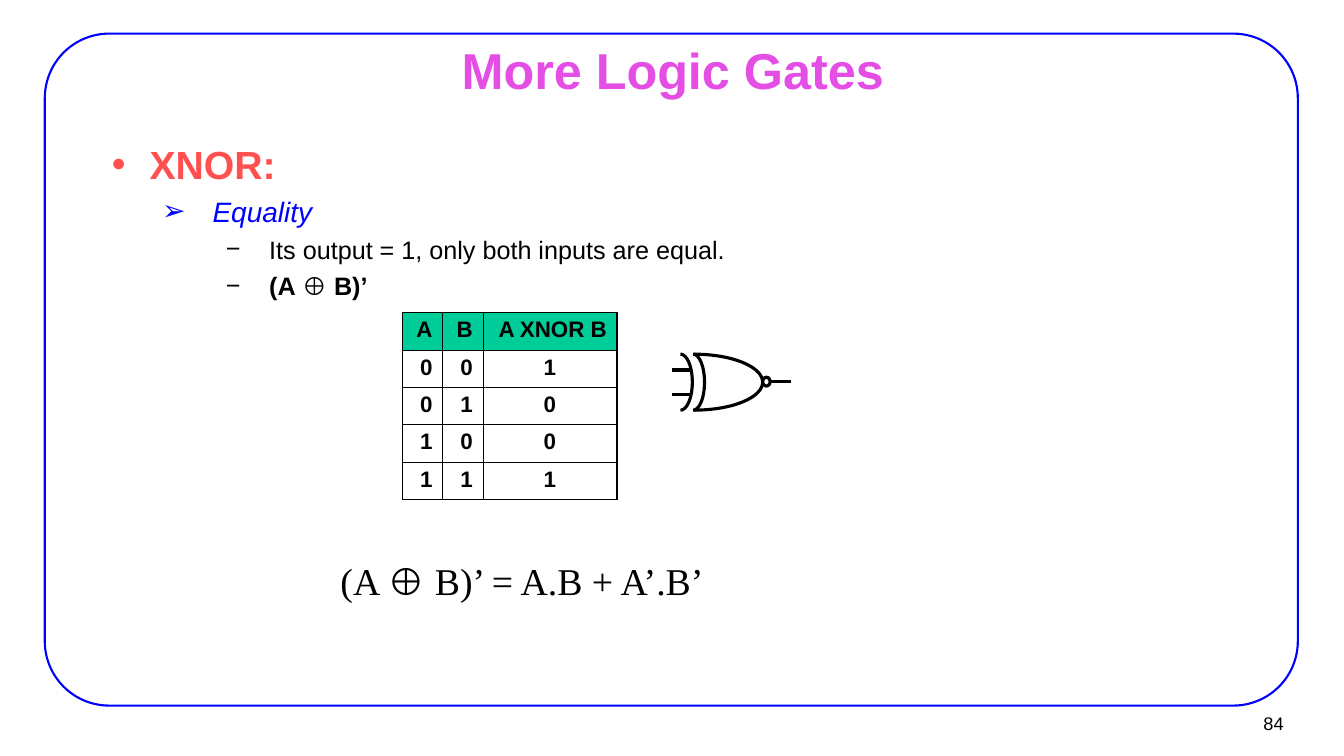
from math import cos, pi, sin

from lxml import etree
from pptx import Presentation
from pptx.dml.color import RGBColor
from pptx.enum.shapes import MSO_CONNECTOR, MSO_SHAPE
from pptx.enum.text import MSO_ANCHOR, PP_ALIGN
from pptx.oxml.ns import qn
from pptx.util import Pt

STRAIGHT = MSO_CONNECTOR.STRAIGHT
ROUNDED, OVAL = MSO_SHAPE.ROUNDED_RECTANGLE, MSO_SHAPE.OVAL
TOP, MIDDLE = MSO_ANCHOR.TOP, MSO_ANCHOR.MIDDLE
LEFT, CENTER, RIGHT = PP_ALIGN.LEFT, PP_ALIGN.CENTER, PP_ALIGN.RIGHT

BLACK = RGBColor(0x00, 0x00, 0x00)
BLUE = RGBColor(0x00, 0x00, 0xFF)
PINK = RGBColor(0xE4, 0x4E, 0xE4)
CORAL = RGBColor(0xFF, 0x50, 0x50)
GREEN = RGBColor(0x00, 0xCC, 0x99)


def add_span(para, text, size=18, color=BLACK, font="Arial", bold=False, italic=False):
    span = para.add_run()
    span.text = text
    span.font.size = Pt(size)
    span.font.name = font
    span.font.bold = bold
    span.font.italic = italic
    span.font.color.rgb = color


class SlideBuilder:
    font = "Arial"
    outer_border, inner_border = 1.08, 0.45
    gate_width = 2.25

    def __init__(self, slide):
        self.shapes = slide.shapes

    def text_box(self, left, top, width, height, anchor=TOP, margins=(7.2, 3.6)):
        frame = self.shapes.add_textbox(Pt(left), Pt(top), Pt(width), Pt(height)).text_frame
        frame.word_wrap = True
        frame.vertical_anchor = anchor
        frame.margin_left = frame.margin_right = Pt(margins[0])
        frame.margin_top = frame.margin_bottom = Pt(margins[1])
        return frame

    def bullet(self, para, symbol, color, indent, hanging, before):
        props = para._p.get_or_add_pPr()
        props.set("marL", str(Pt(indent)))
        props.set("indent", str(-Pt(hanging)))
        tint = etree.SubElement(props, qn("a:buClr"))
        etree.SubElement(tint, qn("a:srgbClr"), val=str(color))
        etree.SubElement(props, qn("a:buFont"), typeface=self.font)
        etree.SubElement(props, qn("a:buChar"), char=symbol)
        para.space_before = Pt(before)

    def outline(self, kind, left, top, width, height, color, weight):
        shape = self.shapes.add_shape(kind, Pt(left), Pt(top), Pt(width), Pt(height))
        self.stroke(shape, color, weight)
        return shape

    def stroke(self, shape, color, weight):
        shape.shadow.inherit = False
        shape.fill.background()
        shape.line.color.rgb = color
        shape.line.width = Pt(weight)

    def wire(self, start, end, y):
        line = self.shapes.add_connector(STRAIGHT, Pt(start), Pt(y), Pt(end), Pt(y))
        line.line.color.rgb = BLACK
        line.line.width = Pt(self.gate_width)
        etree.SubElement(line._element.spPr, qn("a:effectLst"))

    def half_ellipse(self, x, y, radius_x, radius_y, steps=48):
        angles = [pi * step / steps - pi / 2 for step in range(steps + 1)]
        points = [(Pt(x + radius_x * cos(a)), Pt(y + radius_y * sin(a))) for a in angles]
        builder = self.shapes.build_freeform(*points[0])
        builder.add_line_segments(points[1:], close=False)
        self.stroke(builder.convert_to_shape(), BLACK, self.gate_width)

    def cell_borders(self, cell, weights):
        props = cell._tc.get_or_add_tcPr()
        for side, weight in weights.items():
            line = etree.SubElement(props, qn(f"a:ln{side}"), w=str(Pt(weight)))
            fill = etree.SubElement(line, qn("a:solidFill"))
            etree.SubElement(fill, qn("a:srgbClr"), val=str(BLACK))

    def truth_table(self, rows, left, top, widths, row_height):
        last_row, last_column = len(rows) - 1, len(widths) - 1
        table = self.shapes.add_table(len(rows), len(widths), Pt(left), Pt(top),
                                      Pt(sum(widths)), Pt(row_height * len(rows))).table
        table.first_row = table.horz_banding = False
        for column, width in zip(table.columns, widths):
            column.width = Pt(width)
        for r, values in enumerate(rows):
            table.rows[r].height = Pt(row_height)
            for c, value in enumerate(values):
                cell = table.cell(r, c)
                edges = {"L": c == 0, "R": c == last_column, "T": r == 0, "B": r == last_row}
                self.cell_borders(cell, {side: self.outer_border if outer else self.inner_border
                                         for side, outer in edges.items()})
                if r == 0:
                    cell.fill.solid()
                    cell.fill.fore_color.rgb = GREEN
                else:
                    cell.fill.background()
                cell.margin_left = cell.margin_right = Pt(7.2)
                cell.margin_top = cell.margin_bottom = Pt(3.6)
                para = cell.text_frame.paragraphs[0]
                para.alignment = CENTER if r and c == last_column else RIGHT
                add_span(para, value, size=16, bold=True)


def main():
    deck = Presentation()
    deck.slide_width, deck.slide_height = Pt(960.5), Pt(540)
    page = SlideBuilder(deck.slides.add_slide(deck.slide_layouts[6]))

    # Frame and page number
    frame = page.outline(ROUNDED, 32, 24, 895.5, 480, BLUE, 1.5)
    frame.adjustments[0] = 0.096
    para = page.text_box(865.5, 503.5, 58.3, 26.6, MIDDLE, (6.5, 3)).paragraphs[0]
    para.alignment = RIGHT
    add_span(para, "84", size=13)

    # Title
    para = page.text_box(72.7, 31.7, 816.5, 35.3, MIDDLE, (7.9, 4.3)).paragraphs[0]
    para.alignment = CENTER
    add_span(para, "More Logic Gates", size=36, color=PINK, bold=True)

    # Bulleted outline: symbol, indent, hanging, space before, colour, spans
    outline = [
        ("•", 27, 27, 0, CORAL, [("XNOR:", dict(size=28, bold=True))]),
        ("➢", 72, 36, 5, BLUE, [("Equality", dict(size=20, italic=True))]),
        ("−", 112.5, 31, 4.5, BLACK, [("Its output = 1, only both inputs are equal.", {})]),
        ("−", 112.5, 31, 4.5, BLACK,
         [("(A ", dict(bold=True)), ("⊕", {}), (" B)’", dict(bold=True))]),
    ]
    box = page.text_box(72, 95.8, 816, 365.8, margins=(7.9, 4.3))
    for index, (symbol, indent, hanging, before, color, spans) in enumerate(outline):
        para = box.add_paragraph() if index else box.paragraphs[0]
        page.bullet(para, symbol, color, indent, hanging, before)
        for text, style in spans:
            add_span(para, text, color=color, **style)

    # Truth table
    inputs = [(a, b) for a in (0, 1) for b in (0, 1)]
    rows = [("A", "B", "A XNOR B")]
    rows += [(str(a), str(b), str(int(a == b))) for a, b in inputs]
    page.truth_table(rows, 287.5, 223.4, (28.8, 28.8, 95.8), 26.65)

    # XNOR gate: input wires, two back arcs, body, bubble, output wire
    for y in (264.3, 282):
        page.wire(480.4, 494, y)
    for x, radius_x in ((486.3, 8.5), (495.3, 8.2), (496, 49)):
        page.half_ellipse(x, 273, radius_x, 20)
    page.outline(OVAL, 545, 269.4, 5.4, 6.4, BLACK, page.gate_width)
    page.wire(550.4, 565.4, 272.4)

    # Formula
    para = page.text_box(236.2, 394.6, 284.4, 72).paragraphs[0]
    para.alignment = LEFT
    add_span(para, "(A ", size=27, font="Times New Roman")
    add_span(para, "⊕", size=27, bold=True)
    add_span(para, " B)’ = A.B + A’.B’", size=27, font="Times New Roman")

    deck.save("out.pptx")


if __name__ == "__main__":
    main()
